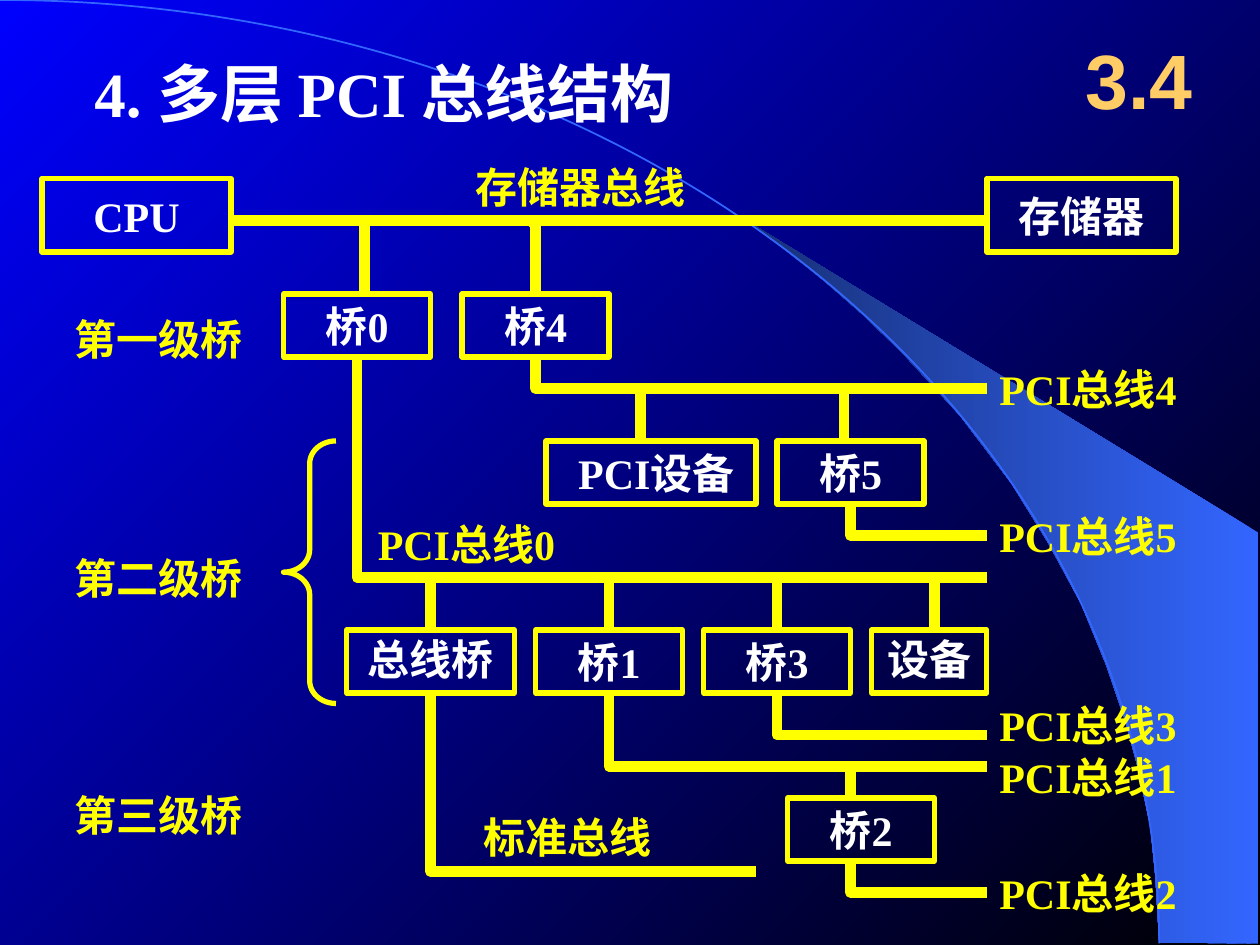
"""Slide on the multi-level PCI bus structure, laid out on a grid of 1/12 inch."""
from lxml import etree
from pptx import Presentation
from pptx.dml.color import RGBColor
from pptx.enum.shapes import MSO_CONNECTOR, MSO_SHAPE
from pptx.enum.text import MSO_ANCHOR as ANCHOR, MSO_AUTO_SIZE as AUTO, PP_ALIGN as ALIGN
from pptx.oxml.ns import qn
from pptx.util import Cm, Pt

INCH = 2.54
GRID = INCH / 12
YELLOW, WHITE, BLACK = "FFFF00", "FFFFFF", "000000"
BLUE = "3366FF"

WEDGE = [
    (9.2, 7.48), (9.99, 7.49), (9.99, 4.23), (5.89, 1.73), (6.24, 1.99), (6.53, 2.22),
    (6.85, 2.5), (7.16, 2.8), (7.62, 3.3), (8.03, 3.84), (8.32, 4.31), (8.58, 4.79),
    (8.78, 5.28), (8.93, 5.72), (9.03, 6.09), (9.13, 6.56), (9.17, 6.96),
]
WIDE_BOXES = [("CPU", 4), ("存储器", 94)]
BOXES = [
    ("桥0", 27, 28, 14), ("桥4", 44, 28, 14),
    ("PCI设备", 52, 42, 20), ("桥5", 74, 42, 14),
    ("总线桥", 33, 60, 16), ("桥1", 51, 60, 14), ("桥3", 67, 60, 14), ("设备", 83, 60, 11),
    ("桥2", 75, 76, 14),
]
MARGINS = {"PCI设备": (2.2, 0.6), "总线桥": (1.2, 0.1), "设备": (1.2, 0.1)}
DROPS = [
    (34.7, 21, 28), (51, 21, 28), (61, 37, 42), (80.4, 37, 42), (81, 73, 76),
    (41, 55, 60), (58, 55, 60), (74, 55, 60), (89, 55, 60),
]
ELBOWS = [
    (51, 34, 37, 94), (34, 34, 55, 94), (81, 48, 51, 94), (58, 66, 73, 94),
    (74, 66, 70, 94), (41, 66, 83, 72), (81, 82, 85, 94),
]
BUS_LABELS = [("PCI总线4", 34), ("PCI总线5", 48), ("PCI总线3", 66), ("PCI总线1", 71), ("PCI总线2", 82)]
LEVELS = [("第一级桥", 29.3), ("第二级桥", 52), ("第三级桥", 74.6)]
BUS_WIDTH, LEVEL_WIDTH = 21.6, 18.8
INNER_LABELS = [
    ("PCI总线0", 34.8, 48.8, BUS_WIDTH),
    ("存储器总线", 44.1, 14.8, 22.8),
    ("标准总线", 44.9, 76.7, LEVEL_WIDTH),
]


def rgb(value):
    """Turn a hex string into a colour."""
    return RGBColor.from_string(value)


def grid(*values):
    """Turn grid counts into lengths."""
    return [Cm(v * GRID) for v in values]


def gradient(fill, first, last, angle):
    """Give a fill a two-colour linear gradient."""
    fill.gradient()
    fill.gradient_angle = angle
    for stop, color in zip(fill.gradient_stops, (first, last)):
        stop.color.rgb = rgb(color)


def stroke(sp, color, width):
    """Set the colour and width of an outline."""
    sp.line.color.rgb = rgb(color)
    sp.line.width = Pt(width)


def add_preset(s, kind, box, color=YELLOW, width=3):
    """Add an unfilled preset shape with an outline."""
    sp = s.shapes.add_shape(kind, *grid(*box))
    sp.shadow.inherit = False
    sp.fill.background()
    stroke(sp, color, width)
    return sp


def add_outline(s, points, unit, close=False):
    """Add a freeform through points counted in units of centimetres."""
    start, *rest = [(Cm(x * unit), Cm(y * unit)) for x, y in points]
    builder = s.shapes.build_freeform(*start)
    builder.add_line_segments(rest, close=close)
    sp = builder.convert_to_shape()
    sp.shadow.inherit = False
    return sp


def add_line(s, x1, y1, x2, y2):
    """Add a straight bus line."""
    line = s.shapes.add_connector(MSO_CONNECTOR.STRAIGHT, *grid(x1, y1, x2, y2))
    stroke(line, YELLOW, 6)
    etree.SubElement(line._element.spPr, qn("a:effectLst"))


def add_elbow(s, x, top, bottom, right):
    """Add a bus line that goes down and then right."""
    sp = add_outline(s, [(x, top), (x, bottom), (right, bottom)], GRID)
    sp.fill.background()
    stroke(sp, YELLOW, 6)


def write(sp, text, color, size=24, font="Times New Roman", align=ALIGN.LEFT, wrap=False):
    """Put bold text into a shape."""
    tf = sp.text_frame
    tf.text = text
    tf.word_wrap = wrap
    p = tf.paragraphs[0]
    p.alignment = align
    f = p.runs[0].font
    f.name, f.size, f.bold = font, Pt(size), True
    f.color.rgb = rgb(color)
    return tf


def add_box(s, text, x, y, w, h=6):
    """Add a device box with centred white text."""
    sp = add_preset(s, MSO_SHAPE.RECTANGLE, (x, y, w, h))
    tf = write(sp, text, WHITE, align=ALIGN.CENTER)
    tf.vertical_anchor = ANCHOR.MIDDLE
    tf.margin_left, tf.margin_top = grid(*MARGINS.get(text, (1.2, 0.6)))


def add_label(s, text, x, y, w, h=6, color=YELLOW, size=24):
    """Add a line of text that sizes its own box."""
    tf = write(s.shapes.add_textbox(*grid(x, y, w, h)), text, color, size)
    tf.auto_size = AUTO.SHAPE_TO_FIT_TEXT


def add_backdrop(s):
    """Add the background, the wedge of light and the arc."""
    gradient(s.background.fill, BLACK, "0000FF", 135)
    wedge = add_outline(s, WEDGE, INCH, close=True)
    gradient(wedge.fill, BLUE, "172F75", 180)
    wedge.line.fill.background()
    add_preset(s, MSO_SHAPE.ARC, (-110.4, 0, 220.8, 179.7), BLUE, 1)


def add_headings(s):
    """Add the title and the section number."""
    add_label(s, "4. 多层 PCI 总线结构", 7.8, 4.6, 62.3, 8.4, WHITE, 36)
    number = s.shapes.add_textbox(*grid(101, 2, 15, 11))
    tf = write(number, "3.4", "FFCC66", 44, "Arial", ALIGN.CENTER, True)
    tf.vertical_anchor = ANCHOR.MIDDLE


def add_buses(s):
    """Add all bus lines, their junction dots and the level brace."""
    add_line(s, 22, 21, 94, 21)
    for x, top, bottom in DROPS:
        add_line(s, x, top, x, bottom)
    for elbow in ELBOWS:
        add_elbow(s, *elbow)
    for x in (34.4, 50.5):
        dot = add_preset(s, MSO_SHAPE.OVAL, (x, 21, 0.6, 0.5))
        dot.fill.solid()
        dot.fill.fore_color.rgb = rgb(BLACK)
    brace = add_preset(s, MSO_SHAPE.LEFT_BRACE, (27, 42, 5, 25))
    brace.adjustments[0] = 0.43


def main():
    """Build the slide and save it."""
    prs = Presentation()
    prs.slide_width, prs.slide_height = Cm(25.4), Cm(19.05)
    s = prs.slides.add_slide(prs.slide_layouts[6])
    add_backdrop(s)
    add_headings(s)
    add_buses(s)
    for text, x in WIDE_BOXES:
        add_box(s, text, x, 17, 18, 7)
    for box in BOXES:
        add_box(s, *box)
    for text, y in BUS_LABELS:
        add_label(s, text, 94, y, BUS_WIDTH)
    for text, y in LEVELS:
        add_label(s, text, 5.9, y, LEVEL_WIDTH)
    for label in INNER_LABELS:
        add_label(s, *label)
    prs.save("out.pptx")


if __name__ == "__main__":
    main()
